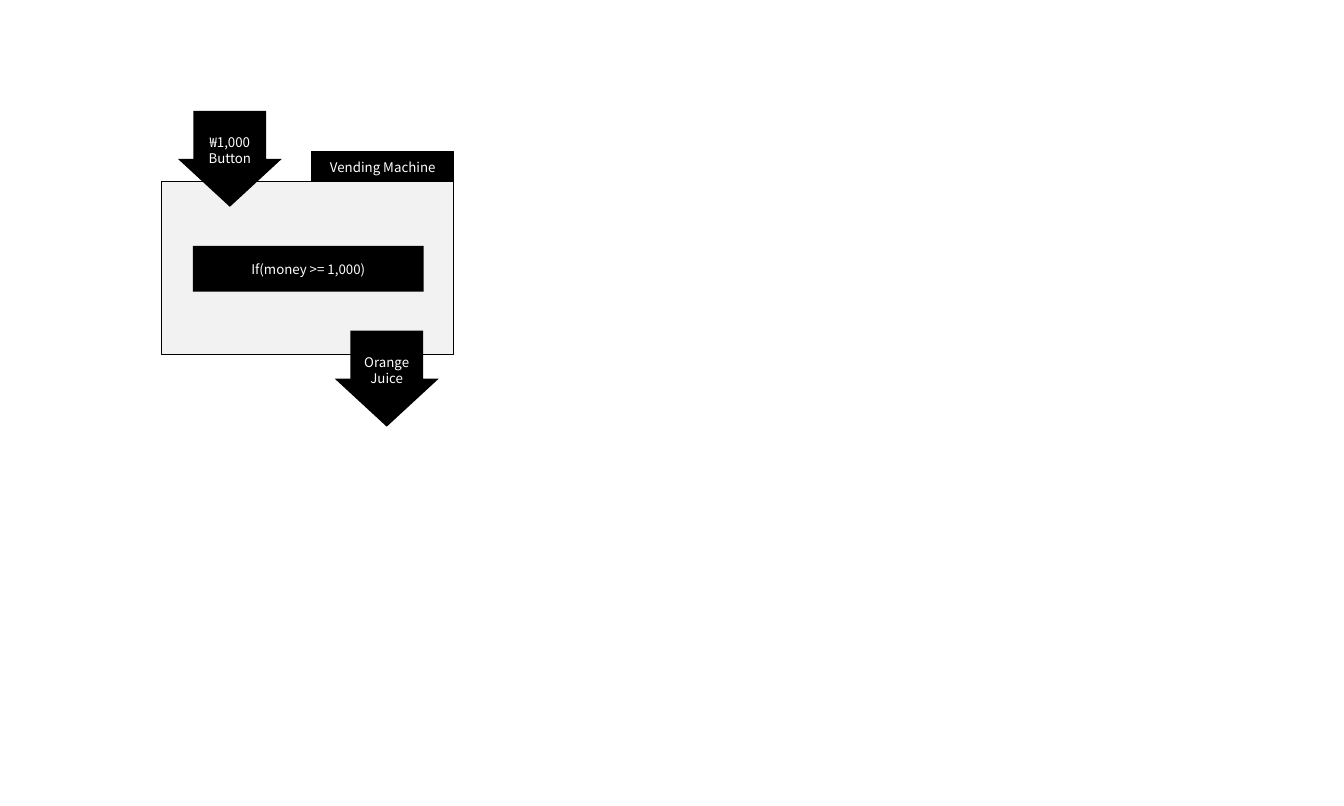
from pptx import Presentation
from pptx.dml.color import RGBColor
from pptx.enum.shapes import MSO_SHAPE
from pptx.enum.text import MSO_ANCHOR, PP_ALIGN
from pptx.oxml.ns import qn
from pptx.util import Inches, Pt

PIXEL = Inches(1) / 68.3
BLACK = RGBColor(0x00, 0x00, 0x00)
WHITE = RGBColor(0xFF, 0xFF, 0xFF)
LIGHT_GREY = RGBColor(0xF2, 0xF2, 0xF2)
FONT = "Noto Sans CJK KR"

deck = Presentation()
deck.slide_width = Inches(19.69)
deck.slide_height = Inches(11.81)
page = deck.slides.add_slide(deck.slide_layouts[6])


def add_block(kind, bounds, fill, outlined=False, lines=()):
    """Add a filled shape at pixel bounds, with one centred paragraph per line."""
    block = page.shapes.add_shape(kind, *(round(n * PIXEL) for n in bounds))
    block.shadow.inherit = False
    block.fill.solid()
    block.fill.fore_color.rgb = fill
    if outlined:
        block.line.color.rgb = BLACK
        block.line.width = Pt(1)
    else:
        block.line.fill.background()
    frame = block.text_frame
    frame.word_wrap = True
    frame.vertical_anchor = MSO_ANCHOR.MIDDLE
    for index, line in enumerate(lines):
        para = frame.add_paragraph() if index else frame.paragraphs[0]
        para.alignment = PP_ALIGN.CENTER
        span = para.add_run()
        span.text = line
        span.font.name = FONT
        span.font.size = Pt(14)
        span.font.color.rgb = WHITE
        east_asian = span.font._element.makeelement(qn("a:ea"), {"typeface": FONT})
        span.font._element.append(east_asian)
    return block


# Machine body and its name tab
add_block(MSO_SHAPE.RECTANGLE, (162, 182, 292, 173), LIGHT_GREY, outlined=True)
add_block(MSO_SHAPE.RECTANGLE, (312, 152, 142, 30), BLACK, outlined=True,
          lines=["Vending Machine"])

# Input arrow, condition and output arrow
add_block(MSO_SHAPE.RECTANGLE, (193, 246, 231, 46), BLACK,
          lines=["If(money >= 1,000)"])
for left, top, lines in (
    (178, 111, ["₩1,000", "Button"]),
    (335, 331, ["Orange Juice"]),
):
    arrow = add_block(MSO_SHAPE.DOWN_ARROW, (left, top, 104, 96), BLACK, lines=lines)
    # Each adjustment is a share: shaft width, then head length
    arrow.adjustments[0] = 0.7
    arrow.adjustments[1] = 0.5
    arrow.text_frame.margin_top = round(20 * PIXEL)

deck.save("out.pptx")
